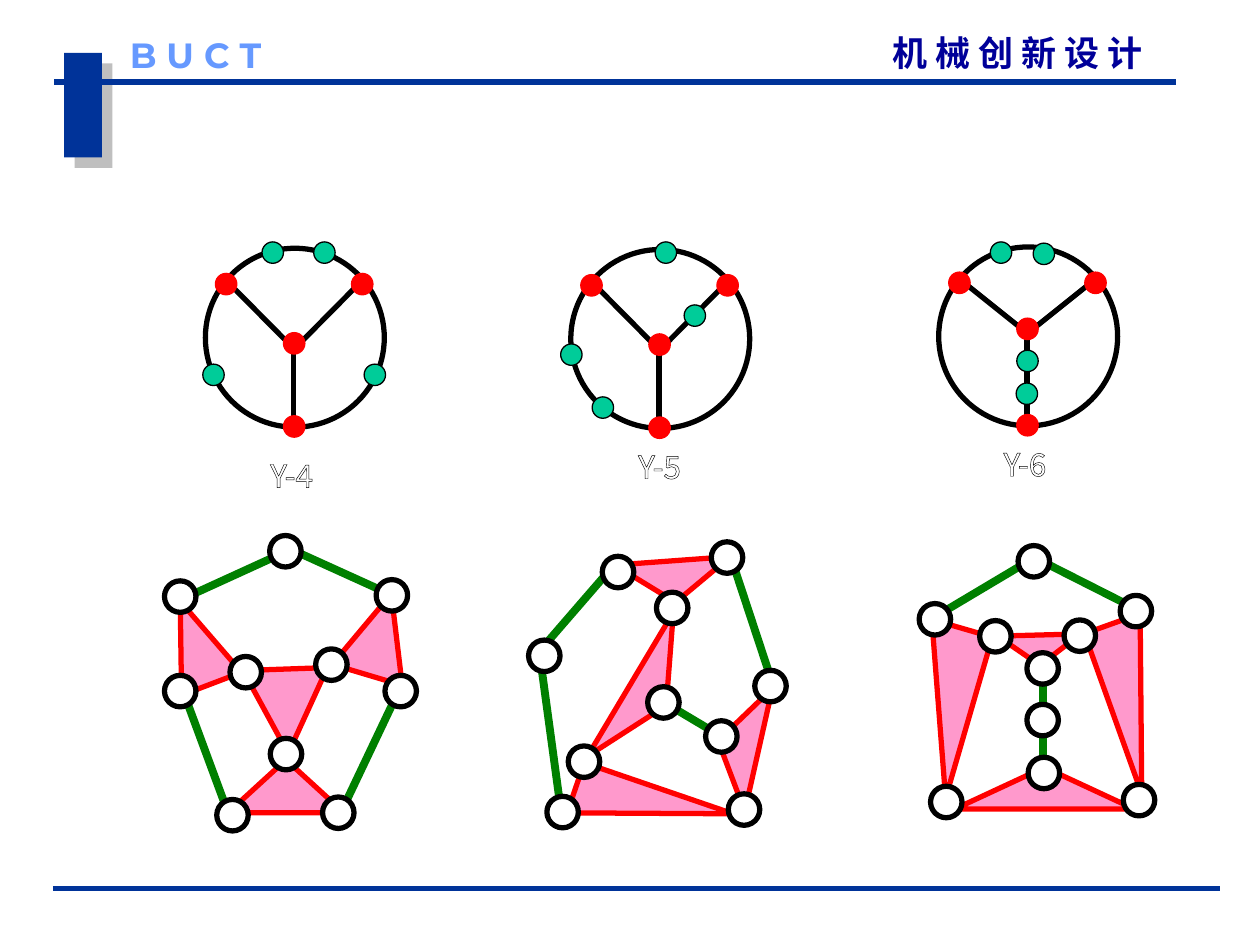
import pptx
import pptx.dml.color
import pptx.enum.shapes
import pptx.enum.text
import pptx.oxml
import pptx.oxml.ns
import pptx.util

COLORS = {"navy": "003399", "course": "000099", "school": "6699FF", "shade": "808080",
          "black": "000000", "white": "FFFFFF", "red": "FF0000", "teal": "00CC99",
          "pink": "FF99CC", "green": "008000"}
NS = pptx.oxml.ns.nsdecls("a")
PRESET = pptx.enum.shapes.MSO_SHAPE
CJK, LATIN = "Noto Sans CJK SC", "Montserrat"
COLS, ROWS = 100, 75


class Board:
    """Draws on one slide, with lengths in columns and rows of a 100 by 75 grid."""

    def __init__(self, deck):
        self.col, self.row = deck.slide_width / COLS, deck.slide_height / ROWS
        self.slide = deck.slides.add_slide(deck.slide_layouts[5])
        self.canvas = self.slide.shapes

    def group(self):
        """Sends the next elements to a new group."""
        self.canvas = self.slide.shapes.add_group_shape().shapes

    def frame(self, left, top, width, height):
        """Turns grid lengths into slide lengths."""
        return (round(left * self.col), round(top * self.row),
                round(width * self.col), round(height * self.row))

    def rgb(self, name):
        """Gives a named colour."""
        return pptx.dml.color.RGBColor.from_string(COLORS[name])

    def shape(self, preset, box, fill, edge=None, weight=3, turn=0):
        """Adds a flat preset shape."""
        figure = self.canvas.add_shape(preset, *self.frame(*box))
        figure.shadow.inherit = False
        figure.rotation = turn
        figure.fill.solid()
        figure.fill.fore_color.rgb = self.rgb(fill)
        if edge:
            figure.line.color.rgb = self.rgb(edge)
            figure.line.width = pptx.util.Pt(weight)
        else:
            figure.line.fill.background()
        return figure

    def dot(self, x, y, size, fill, edge, weight):
        """Adds a circle around a centre."""
        self.shape(PRESET.OVAL, (x - size / 2, y - size / 2, size, size), fill, edge, weight)

    def line(self, x1, y1, x2, y2, color, weight=3):
        """Adds a straight line."""
        ends = self.frame(x1, y1, x2, y2)
        link = self.canvas.add_connector(pptx.enum.shapes.MSO_CONNECTOR.STRAIGHT, *ends)
        link.line.color.rgb = self.rgb(color)
        link.line.width = pptx.util.Pt(weight)
        link._element.spPr.append(pptx.oxml.parse_xml(f"<a:effectLst {NS}/>"))

    def shaded_bar(self, box):
        """Adds the navy bar with its offset shadow."""
        bar = self.shape(PRESET.RECTANGLE, box, "navy")
        effects = bar._element.spPr.find(pptx.oxml.ns.qn("a:effectLst"))
        effects.append(pptx.oxml.parse_xml(
            f'<a:outerShdw {NS} dist="107950" dir="2700000" algn="ctr" rotWithShape="0">'
            f'<a:srgbClr val="{COLORS["shade"]}"><a:alpha val="50000"/></a:srgbClr></a:outerShdw>'))

    def letter(self, holder, text, size, color, font, bold, align):
        """Sets one run of text in a tight frame."""
        words = holder.text_frame
        words.word_wrap = False
        words.auto_size = pptx.enum.text.MSO_AUTO_SIZE.NONE
        words.vertical_anchor = pptx.enum.text.MSO_ANCHOR.MIDDLE
        words.margin_left = words.margin_right = words.margin_top = words.margin_bottom = 0
        words.paragraphs[0].alignment = align
        run = words.paragraphs[0].add_run()
        run.text = text
        run.font.size = pptx.util.Pt(size)
        run.font.bold = bold
        run.font.color.rgb = self.rgb(color)
        run.font.name = font
        properties = run._r.get_or_add_rPr()
        properties.append(pptx.oxml.parse_xml(f'<a:ea {NS} typeface="{font}"/>'))
        return properties

    def heading(self, holder, box, text, color, font):
        """Places and letters a header line."""
        holder.left, holder.top, holder.width, holder.height = self.frame(*box)
        self.letter(holder, text, 20, color, font, True, pptx.enum.text.PP_ALIGN.LEFT)

    def outlined_label(self, box, text):
        """Adds white lettering with a thin black outline."""
        holder = self.canvas.add_textbox(*self.frame(*box))
        properties = self.letter(holder, text, 18, "white", CJK, False,
                                 pptx.enum.text.PP_ALIGN.CENTER)
        properties.insert(0, pptx.oxml.parse_xml(
            f'<a:ln {NS} w="9525"><a:solidFill><a:srgbClr val="{COLORS["black"]}"/>'
            f'</a:solidFill></a:ln>'))

    def graph(self, name, left, top, hub, label_x, label_y, green_nodes):
        """Adds a circle graph with three spokes, its nodes and its label."""
        self.group()
        self.shape(PRESET.OVAL, (left, top, 14.2, 14.2), "white", "black")
        for x1, y1, x2, y2 in ((1.6, 2.5, 6.6, hub), (12.5, 2.5, 7.5, hub), (7, hub, 7, 14.2)):
            self.line(left + x1, top + y1, left + x2, top + y2, "black")
        for x, y in ((1.65, 2.85), (7.05, 14.15), (12.45, 2.85), (7.05, hub)):
            self.dot(left + x, top + y, 1.7, "red", "red", 0.75)
        for x, y in green_nodes:
            self.dot(left + x, top + y, 1.7, "teal", "black", 0.75)
        self.outlined_label((left + label_x - 2, top + label_y, 4, 3.6), name)

    def linkage(self, plates, bars, joints):
        """Adds a mechanism of triangular plates, bars and joints."""
        self.group()
        for preset, turn, *box in plates:
            self.shape(preset, box, "pink", "red", turn=turn)
        for bar in bars:
            self.line(*bar, "green", 4.5)
        for x, y in joints:
            self.dot(x, y, 2.5, "white", "black", 3)


TRI, RIGHT = PRESET.ISOSCELES_TRIANGLE, PRESET.RIGHT_TRIANGLE
GRAPHS = [
    ("Y-4", 16.3, 19.7, 7.55, 6.85, 16.2,
     [(9.45, 0.35), (5.35, 0.35), (13.45, 10.05), (0.65, 10.05)]),
    ("Y-5", 45.3, 19.8, 7.55, 7.05, 15.4,
     [(7.55, 0.25), (9.85, 5.25), (2.55, 12.55), (0.05, 8.35)]),
    ("Y-6", 74.5, 19.6, 6.5, 6.85, 15.4,
     [(7.0, 11.65), (7.05, 9.05), (8.35, 0.55), (4.95, 0.45)]),
]
LINKAGES = [
    ([(TRI, 0, 18.1, 60.3, 9.2, 4.2), (TRI, 178, 19.4, 53.1, 6.7, 6.7),
      (TRI, 339.2, 13, 47.5, 5.1, 7), (TRI, 16.6, 27.2, 47, 5.8, 6.7)],
     [(31.9, 54.3, 27.1, 64.4), (14.7, 55.3, 18.1, 64.5),
      (23.1, 43.6, 13.9, 47.8), (23.1, 43.6, 30.6, 47)],
     [(19.5, 53.35), (14.3, 47.35), (31.1, 47.25), (22.65, 43.75), (22.7, 59.85),
      (14.3, 54.85), (31.8, 54.85), (26.3, 52.75), (26.85, 64.5), (18.45, 64.7)]),
    ([(RIGHT, 108.9, 49.5, 58.3, 4.2, 12.5), (TRI, 120.8, 44.8, 53.5, 13.3, 3.3),
      (TRI, 175.8, 48.9, 44.5, 9.2, 3.3), (TRI, 282.7, 53.6, 57.5, 10, 3.3)],
     [(58.1, 44.5, 61.4, 54.5), (42.8, 51.7, 44.5, 64.2),
      (48.6, 45, 42.8, 51.7), (52.8, 55.8, 57, 58.3)],
     [(59.05, 64.25), (57.25, 58.45), (52.65, 55.75), (46.35, 60.45), (44.65, 64.45),
      (43.2, 52.05), (61.15, 54.45), (53.35, 48.25), (57.7, 44.25), (49.05, 45.4)]),
    ([(TRI, 0, 75.8, 60.9, 14.2, 3.3), (TRI, 178.5, 79.2, 50.4, 6.6, 2.4),
      (RIGHT, 196.2, 72, 49.6, 5, 13.3), (RIGHT, 70.3, 83.8, 53.5, 13.5, 4.7)],
     [(82.8, 54.2, 82.8, 61.7), (82, 44.2, 90.3, 48.4), (82.2, 44.2, 73.8, 49.2)],
     [(74.2, 49.15), (75.1, 63.65), (90.4, 63.5), (82.85, 61.35), (82.75, 57.15),
      (82.75, 53.05), (79, 50.5), (85.7, 50.45), (90.15, 48.5), (82.05, 44.55)]),
]


def main():
    """Builds the slide and saves it."""
    deck = pptx.Presentation()
    deck.slide_width, deck.slide_height = pptx.util.Inches(10), pptx.util.Inches(7.5)
    board = Board(deck)
    board.shaded_bar((5.1, 4.2, 3, 8.3))
    board.line(4.3, 6.5, 93.3, 6.5, "navy")
    board.line(4.2, 70.5, 96.8, 70.5, "navy")
    board.heading(board.slide.shapes.title, (70.8, 2.2, 24.6, 4),
                  "机 械 创 新 设 计", "course", CJK)
    board.heading(board.canvas.add_textbox(0, 0, 0, 0), (10.3, 2.3, 14.2, 4),
                  "B U C T", "school", LATIN)
    for graph in GRAPHS:
        board.graph(*graph)
    for linkage in LINKAGES:
        board.linkage(*linkage)
    deck.save("out.pptx")


if __name__ == "__main__":
    main()
